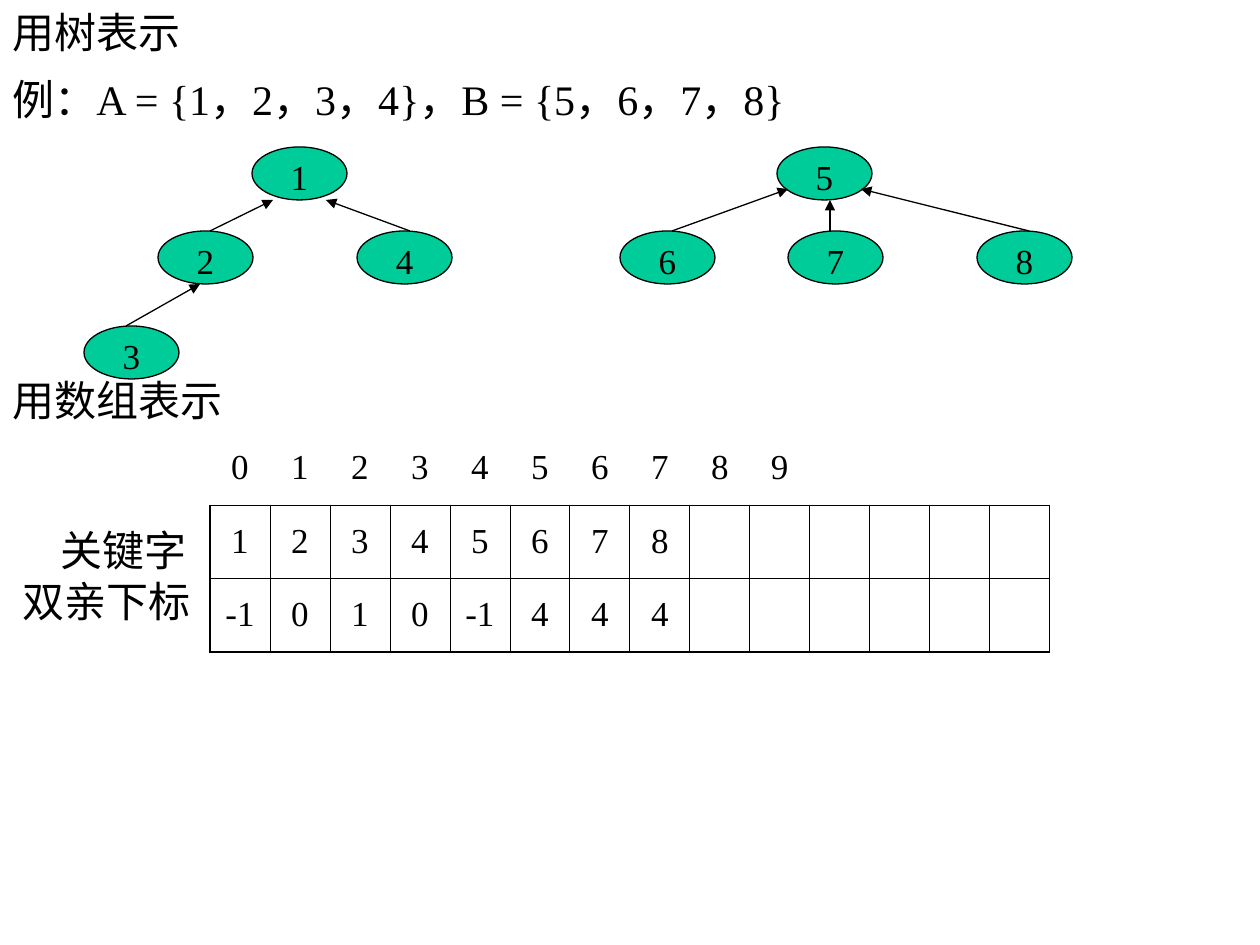
from lxml import etree
from pptx import Presentation, util as u
from pptx.dml.color import RGBColor
from pptx.enum import shapes, text
from pptx.oxml import ns

SCALE = 914400 / 126
NO_STYLE = "{2D5ABB26-0587-4C30-8999-92F81FD0307C}"


def px(length):
    return u.Emu(round(length * SCALE))


def color(value):
    return RGBColor.from_string(value)


class Board:
    font = "Times New Roman"
    ink = "000000"
    node_fill = "00CC99"
    heading_size = 24
    digit_size = 20
    thin, thick = 0.45, 1.08

    def __init__(self, slide):
        self.slide = slide

    def add_words(self, paragraph, words, size, align):
        paragraph.alignment = align
        run = paragraph.add_run()
        run.text = words
        run.font.name = self.font
        run.font.size = u.Pt(size)
        run.font.color.rgb = color(self.ink)

    def title(self, words, left, top, width, height):
        heading = self.slide.shapes.title
        heading.left, heading.top = px(left), px(top)
        heading.width, heading.height = px(width), px(height)
        heading.text_frame.vertical_anchor = text.MSO_ANCHOR.MIDDLE
        self.add_words(heading.text_frame.paragraphs[0], words,
                       self.heading_size, text.PP_ALIGN.LEFT)

    def body(self, entries, left, top, width, height):
        frame = self.slide.shapes.add_textbox(
            px(left), px(top), px(width), px(height)).text_frame
        frame.word_wrap = True
        frame.margin_top = px(10)
        for index, (words, gap, indent) in enumerate(entries):
            paragraph = frame.add_paragraph() if index else frame.paragraphs[0]
            paragraph.line_spacing = u.Pt(28.8)
            paragraph.space_before = px(gap)
            paragraph._p.get_or_add_pPr().set("marL", str(px(indent)))
            self.add_words(paragraph, words, self.heading_size, text.PP_ALIGN.LEFT)

    def node(self, key, left, top):
        oval = self.slide.shapes.add_shape(
            shapes.MSO_SHAPE.OVAL, px(left), px(top), px(95), px(53))
        oval.shadow.inherit = False
        oval.fill.solid()
        oval.fill.fore_color.rgb = color(self.node_fill)
        oval.line.color.rgb = color(self.ink)
        oval.line.width = u.Pt(0.75)
        frame = oval.text_frame
        frame.margin_left = frame.margin_right = frame.margin_bottom = 0
        frame.margin_top = px(7)
        frame.vertical_anchor = text.MSO_ANCHOR.MIDDLE
        self.add_words(frame.paragraphs[0], key, self.digit_size, text.PP_ALIGN.CENTER)

    def arrow(self, x1, y1, x2, y2):
        link = self.slide.shapes.add_connector(
            shapes.MSO_CONNECTOR.STRAIGHT, px(x1), px(y1), px(x2), px(y2))
        link.line.color.rgb = color(self.ink)
        link.line.width = u.Pt(0.75)
        etree.SubElement(link.line._get_or_add_ln(), ns.qn("a:tailEnd"), type="triangle")
        etree.SubElement(link._element.spPr, ns.qn("a:effectLst"))

    def border(self, cell, side, width):
        line = etree.SubElement(cell._tc.get_or_add_tcPr(), ns.qn(f"a:ln{side}"),
                                w=str(u.Pt(width)))
        fill = etree.SubElement(line, ns.qn("a:solidFill"))
        etree.SubElement(fill, ns.qn("a:srgbClr"), val=self.ink)

    def table(self, rows, columns, left, top, column_width, heights):
        grid = self.slide.shapes.add_table(
            len(rows), columns, px(left), px(top),
            px(column_width * columns), px(sum(heights))).table
        grid.first_row = grid.horz_banding = False
        grid._tbl.tblPr.find(ns.qn("a:tableStyleId")).text = NO_STYLE
        for column in grid.columns:
            column.width = px(column_width)
        for r, values in enumerate(rows):
            grid.rows[r].height = px(heights[r])
            for c in range(columns):
                cell = grid.cell(r, c)
                cell.vertical_anchor = text.MSO_ANCHOR.MIDDLE
                cell.margin_left = cell.margin_right = px(6)
                if r:
                    outer = {"L": c == 0, "R": c == columns - 1,
                             "T": False, "B": r == len(rows) - 1}
                else:
                    outer = {"B": False}
                for side, edge in outer.items():
                    self.border(cell, side, self.thick if edge else self.thin)
                cell.fill.background()
                if c < len(values):
                    self.add_words(cell.text_frame.paragraphs[0], str(values[c]),
                                   self.digit_size, text.PP_ALIGN.CENTER)


def main():
    deck = Presentation()
    deck.slide_width, deck.slide_height = px(1260), px(945)
    board = Board(deck.slides.add_slide(deck.slide_layouts[5]))

    board.title("用树表示", 0, 0, 1071, 63)
    board.body([
        ("例：A = {1，2，3，4}，B = {5，6，7，8}", 0, 0),
        ("用数组表示", 251, 0),
        ("关键字", 100, 48),
        ("双亲下标", 0, 10),
    ], 0, 63, 1229, 840)

    nodes = [("1", 252, 147), ("2", 158, 231), ("4", 357, 231), ("3", 84, 326),
             ("5", 777, 147), ("6", 620, 231), ("7", 788, 231), ("8", 977, 231)]
    for node in nodes:
        board.node(*node)

    parent_links = [(210, 231, 273, 200), (126, 326, 200, 284), (410, 231, 326, 200),
                    (672, 231, 788, 189), (830, 231, 830, 200), (1029, 231, 861, 189)]
    for link in parent_links:
        board.arrow(*link)

    indices = range(10)
    keys = range(1, 9)
    parents = [-1, 0, 1, 0, -1, 4, 4, 4]
    board.table([indices, keys, parents], 14, 210, 431, 60, [74, 73, 74])

    deck.save("out.pptx")


if __name__ == "__main__":
    main()
